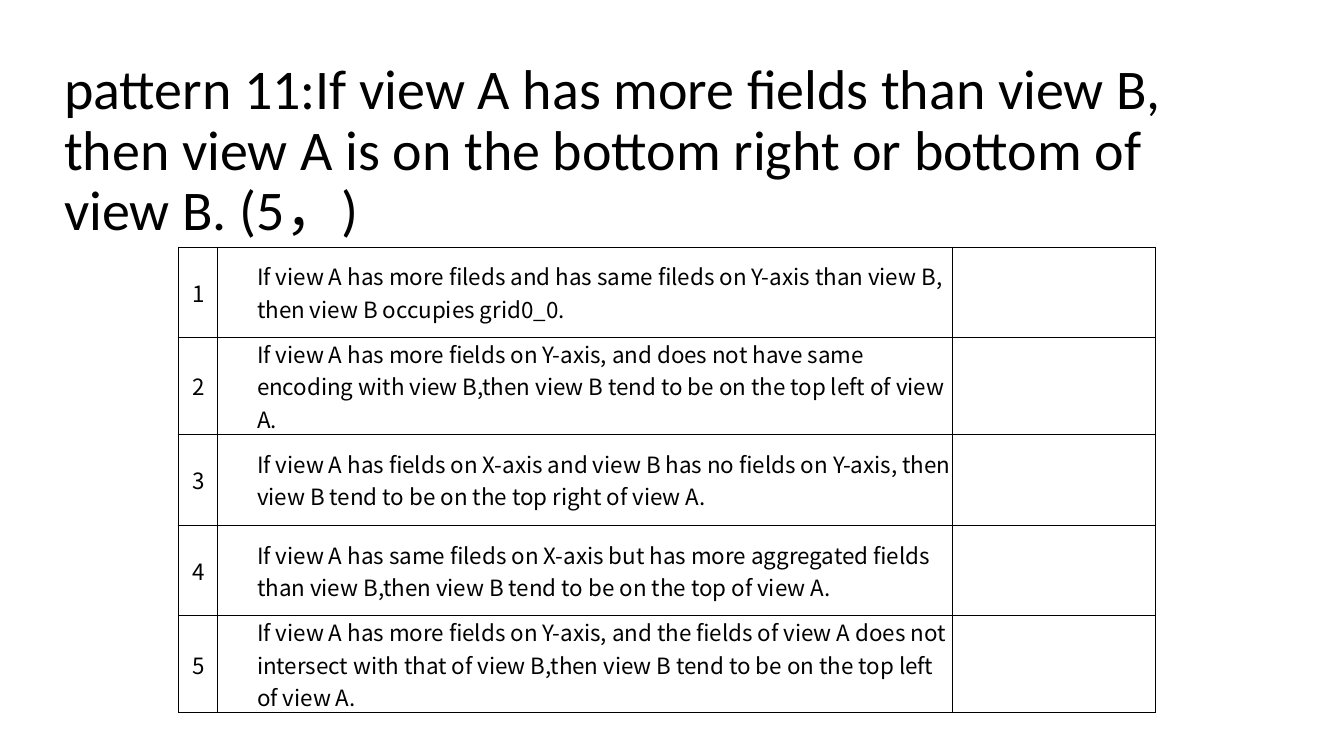
from pptx import Presentation
from pptx import util as u
from pptx.dml.color import RGBColor
from pptx.enum import text
from pptx.oxml.ns import qn
from lxml import etree

BLACK = RGBColor(0x00, 0x00, 0x00)
WHITE = RGBColor(0xFF, 0xFF, 0xFF)
TITLE_FONT, TABLE_FONT = "Calibri", "Noto Sans CJK SC"
COLUMNS, ROWS = 240, 150

TITLE = ("pattern 11:If view A has more fields than view B, then view A is on "
         "the bottom right or bottom of view B. (5，)")
RULES = [
    "If view A has more fileds and has same fileds on Y-axis than view B, "
    "then view B occupies grid0_0.",
    "If view A has more fields on Y-axis, and does not have same encoding "
    "with view B,then view B tend to be on the top left of view A.",
    "If view A has fields on X-axis and view B has no fields on Y-axis, "
    "then view B tend to be on the top right of view A.",
    "If view A has same fileds on X-axis but has more aggregated fields "
    "than view B,then view B tend to be on the top of view A.",
    "If view A has more fields on Y-axis, and the fields of view A does not "
    "intersect with that of view B,then view B tend to be on the top left of view A.",
]


def apply(target, values):
    for name, value in values.items():
        setattr(target, name, value)


class Page:
    """The current slide with its grid and style."""

    def __init__(self, deck):
        self.slide = deck.slides.add_slide(deck.slide_layouts[6])
        self.column = deck.slide_width / COLUMNS
        self.row = deck.slide_height / ROWS

    def place(self, left, top, width, height):
        return (round(left * self.column), round(top * self.row),
                round(width * self.column), round(height * self.row))

    def add_words(self, para, words, font, size):
        span = para.add_run()
        span.text = words
        apply(span.font, {"name": font, "size": u.Pt(size)})
        span.font.color.rgb = BLACK
        east_asian = etree.SubElement(span._r.get_or_add_rPr(), qn("a:ea"))
        east_asian.set("typeface", TABLE_FONT)

    def title(self, words, *area):
        box = self.slide.shapes.add_textbox(*self.place(*area))
        apply(box.text_frame, {"word_wrap": True,
                               "auto_size": text.MSO_AUTO_SIZE.NONE,
                               "vertical_anchor": text.MSO_ANCHOR.BOTTOM})
        para = box.text_frame.paragraphs[0]
        para.line_spacing = 0.9
        self.add_words(para, words, TITLE_FONT, 40)

    def border(self, cell):
        for side in ("lnL", "lnR", "lnT", "lnB"):
            line = etree.SubElement(cell._tc.get_or_add_tcPr(), qn(f"a:{side}"))
            line.set("w", str(u.Pt(0.75)))
            fill = etree.SubElement(line, qn("a:solidFill"))
            etree.SubElement(fill, qn("a:srgbClr")).set("val", str(BLACK))

    def table(self, rules, left, top, widths, row_height):
        area = self.place(left, top, sum(widths), row_height * len(rules))
        grid = self.slide.shapes.add_table(len(rules), len(widths), *area).table
        apply(grid, {"first_row": False, "horz_banding": False})
        for column, width in zip(grid.columns, widths):
            column.width = round(width * self.column)
        for cell in grid.iter_cells():
            self.border(cell)
            cell.fill.solid()
            cell.fill.fore_color.rgb = WHITE
            apply(cell, {"margin_left": 0, "margin_right": 0, "margin_top": 0,
                         "margin_bottom": 0,
                         "vertical_anchor": text.MSO_ANCHOR.MIDDLE})
        for index, rule in enumerate(rules):
            number, statement = (grid.cell(index, place).text_frame.paragraphs[0]
                                 for place in (0, 1))
            number.alignment = text.PP_ALIGN.CENTER
            self.add_words(number, str(index + 1), TABLE_FONT, 16)
            indent = round(widths[0] * self.column)
            statement._p.get_or_add_pPr().set("marL", str(indent))
            self.add_words(statement, rule, TABLE_FONT, 16)


deck = Presentation()
apply(deck, {"slide_width": u.Inches(13.33), "slide_height": u.Inches(7.5)})
page = Page(deck)

# Heading
page.title(TITLE, 9.7, 17, 216.6, 32.2)

# Numbered rules with an empty last column
page.table(RULES, 31.9, 49, (7, 131.1, 36.4), 18)

deck.save("out.pptx")
